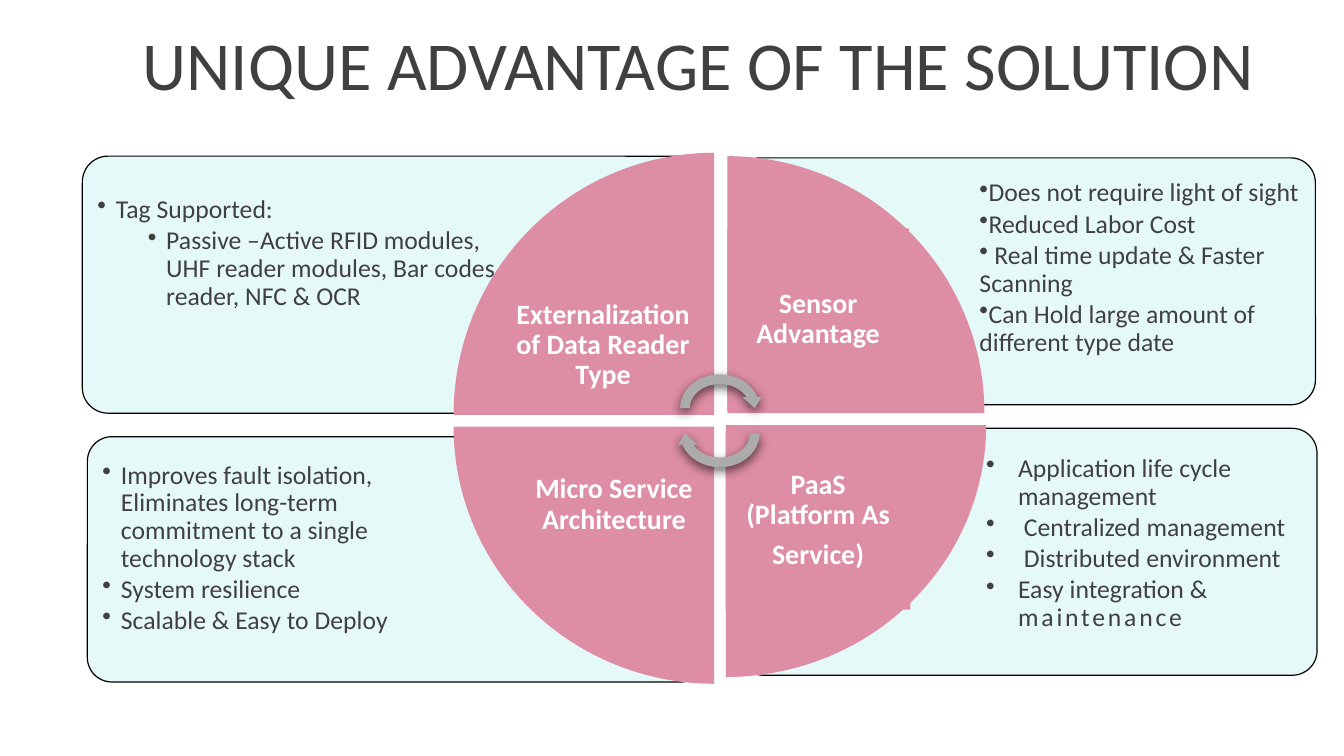
import pptx
import pptx.dml.color
import pptx.enum.shapes
import pptx.enum.text
import pptx.oxml
import pptx.oxml.ns
import pptx.util

SHAPE = pptx.enum.shapes.MSO_SHAPE
ANCHOR = pptx.enum.text.MSO_ANCHOR
ALIGN = pptx.enum.text.PP_ALIGN
EMU_PER_PX = 9144  # 100 px to the inch

COLORS = {"text": "404040", "panel": "E4F9F9", "outline": "000000",
          "wedge": "DD8DA4", "label": "FFFFFF", "arrow": "ABABAB"}

TITLE = {"size": 29.4, "color": "text", "bold": False,
         "paragraph": {"line_spacing": 0.85, "alignment": ALIGN.LEFT}}
BULLET = {"size": 11, "color": "text", "bold": False,
          "paragraph": {"line_spacing": 0.9, "space_after": pptx.util.Pt(1.5),
                        "alignment": ALIGN.LEFT}}
LABEL = {"size": 12, "color": "label", "bold": True,
         "paragraph": {"line_spacing": 0.9, "space_after": pptx.util.Pt(4.2),
                       "alignment": ALIGN.CENTER}}


def px(value):
    return pptx.util.Emu(value * EMU_PER_PX)


def rgb(name):
    return pptx.dml.color.RGBColor.from_string(COLORS[name])


def add_xml(parent, tag, content="", **attributes):
    values = " ".join(f'{key}="{value}"' for key, value in attributes.items())
    child = pptx.oxml.parse_xml(
        f'<a:{tag} {pptx.oxml.ns.nsdecls("a")} {values}>{content}</a:{tag}>')
    parent.append(child)


class SlideBuilder:
    def __init__(self, slide):
        self.slide = slide

    def shape(self, kind, box, color, rotation=0):
        shape = self.slide.shapes.add_shape(kind, *map(px, box))
        shape.shadow.inherit = False
        shape.fill.solid()
        shape.fill.fore_color.rgb = rgb(color)
        shape.line.fill.background()
        shape.rotation = rotation
        return shape

    def panel(self, box):
        shape = self.shape(SHAPE.ROUNDED_RECTANGLE, box, "panel")
        shape.adjustments[0] = 0.1
        shape.line.color.rgb = rgb("outline")
        shape.line.width = pptx.util.Pt(0.5)
        fill_color = shape.fill._xPr.find(".//" + pptx.oxml.ns.qn("a:srgbClr"))
        add_xml(fill_color, "alpha", val=90000)

    def arrow(self, box, rotation):
        shape = self.shape(SHAPE.CIRCULAR_ARROW, box, "arrow", rotation)
        effects = shape._element.spPr.find(pptx.oxml.ns.qn("a:effectLst"))
        add_xml(effects, "outerShdw",
                '<a:srgbClr val="000000"><a:alpha val="63000"/></a:srgbClr>',
                blurRad=pptx.util.Pt(4.5), dist=pptx.util.Pt(1.5),
                dir=5400000, rotWithShape=0)

    def frame(self, shape, margins, anchor):
        frame = shape.text_frame
        horizontal, vertical = map(px, margins)
        settings = {"word_wrap": True, "vertical_anchor": anchor,
                    "margin_left": horizontal, "margin_right": horizontal,
                    "margin_top": vertical, "margin_bottom": vertical}
        for name, value in settings.items():
            setattr(frame, name, value)
        return frame

    def paragraphs(self, frame, lines, style):
        """Each line is a list of (text, letter spacing) runs or plain text."""
        for index, line in enumerate(lines):
            paragraph = frame.add_paragraph() if index else frame.paragraphs[0]
            for name, value in style["paragraph"].items():
                setattr(paragraph, name, value)
            runs = [(line, 0)] if isinstance(line, str) else line
            for text, spacing in runs:
                run = paragraph.add_run()
                run.text = text
                font_format = {"name": "Calibri", "bold": style["bold"],
                               "size": pptx.util.Pt(style["size"])}
                for name, value in font_format.items():
                    setattr(run.font, name, value)
                run.font.color.rgb = rgb(style["color"])
                if spacing:
                    run.font._element.set("spc", str(spacing))

    def textbox(self, box, margins, anchor, lines, style):
        shape = self.slide.shapes.add_textbox(*map(px, box))
        frame = self.frame(shape, margins, anchor)
        self.paragraphs(frame, lines, style)
        return frame

    def bullets(self, box, margin, anchor, lines, lefts, hanging):
        frame = self.textbox(box, (margin, margin), anchor, lines, BULLET)
        for paragraph, left in zip(frame.paragraphs, lefts):
            properties = paragraph._p.get_or_add_pPr()
            properties.set("marL", str(px(left)))
            properties.set("indent", str(px(-hanging)))
            add_xml(properties, "buChar", char="•")

    def label(self, box, lines):
        shape = self.shape(SHAPE.RECTANGLE, box, "wedge")
        self.paragraphs(self.frame(shape, (8, 8), ANCHOR.MIDDLE), lines, LABEL)


PANELS = [
    {"panel": (440, 255, 344, 147), "box": (578, 262, 231, 150), "margin": 9,
     "anchor": ANCHOR.TOP, "lefts": [19] * 4, "hanging": 19,
     "lines": ["Application life cycle management",
               " Centralized management",
               " Distributed environment",
               [("Easy integration & ", 0), ("maintenance", 120)]]},
    {"panel": (52, 260, 368, 146), "box": (56, 270, 208, 127), "margin": 5,
     "anchor": ANCHOR.TOP, "lefts": [11] * 3, "hanging": 11,
     "lines": ["Improves fault isolation, Eliminates long-term "
               "commitment to a single technology stack",
               "System resilience",
               "Scalable & Easy to Deploy"]},
    {"panel": (438, 94, 345, 147), "box": (579, 103, 201, 145), "margin": 4,
     "anchor": ANCHOR.TOP, "lefts": [0] * 4, "hanging": 0,
     "lines": ["Does not require light of sight",
               "Reduced Labor Cost",
               " Real time update & Faster Scanning",
               "Can Hold large amount of different type date"]},
    {"panel": (49, 93, 369, 153), "box": (53, 97, 250, 108), "margin": 5,
     "anchor": ANCHOR.MIDDLE, "lefts": [11, 41], "hanging": 11,
     "lines": ["Tag Supported:",
               "Passive –Active RFID modules, UHF reader modules, "
               "Bar codes reader, NFC & OCR"]},
]

# Clockwise from the top left: wedge box, label box, label text
WEDGES = [
    ((270, 91, 155, 156), (298, 165, 122, 81),
     ["Externalization of Data Reader Type"]),
    ((433, 93, 153, 153), (433, 136, 108, 108), ["Sensor Advantage"]),
    ((432, 253, 155, 150), (432, 257, 110, 106),
     ["PaaS (Platform As", "Service)"]),
    ((271, 253, 153, 155), (309, 260, 113, 81),
     ["Micro Service Architecture"]),
]


def main():
    presentation = pptx.Presentation()
    presentation.slide_width = px(800)
    presentation.slide_height = px(450)
    slide = presentation.slides.add_slide(presentation.slide_layouts[6])
    builder = SlideBuilder(slide)

    # Title
    builder.textbox((79, 15, 747, 50), (6, 3), ANCHOR.BOTTOM,
                    ["UNIQUE ADVANTAGE OF THE SOLUTION"], TITLE)

    # Panels with bullet lists
    for item in PANELS:
        builder.panel(item["panel"])
        builder.bullets(item["box"], item["margin"], item["anchor"],
                        item["lines"], item["lefts"], item["hanging"])

    # Quarter wedges with labels
    for index, (wedge_box, label_box, lines) in enumerate(WEDGES):
        builder.shape(SHAPE.PIE_WEDGE, wedge_box, "wedge", 90 * index)
        builder.label(label_box, lines)

    # Cycle arrows in the centre
    for top, rotation in ((220, 0), (235, 180)):
        builder.arrow((402, top, 53, 46), rotation)

    presentation.save("out.pptx")


if __name__ == "__main__":
    main()
